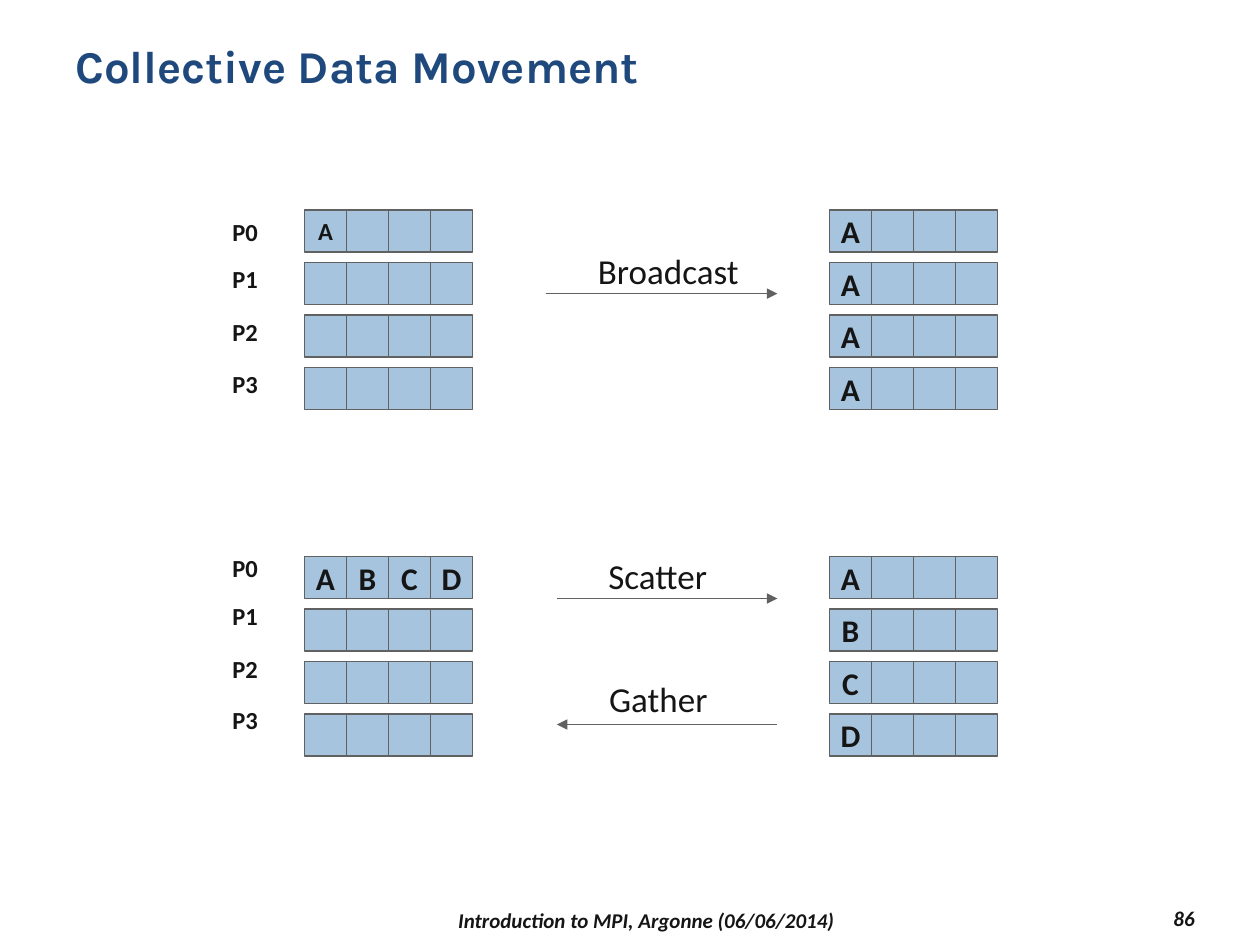
"""Build a slide on broadcast, scatter and gather among four processes."""
from dataclasses import dataclass
from typing import Any

from pptx import Presentation
from pptx import util as u
from pptx.dml.color import RGBColor
from pptx.enum import shapes, text
from pptx.oxml.ns import qn

NAVY = RGBColor(0x1F, 0x49, 0x7D)
INK = RGBColor(0x15, 0x15, 0x15)
GRAY = RGBColor(0x61, 0x61, 0x61)
BLUE = RGBColor(0xA6, 0xC4, 0xDE)

SIDE = 1 / 3
STEP = 5 / 12
LEFT, RIGHT = 29 / 12, 79 / 12
TOP, LOW = 5 / 3, 53 / 12
DROPS = (0, 0.38, 0.8, 1.21)


def write(frame, words, size=14, font="Calibri", color=INK, bold=False, slant=False,
          align=text.PP_ALIGN.CENTER, anchor=text.MSO_ANCHOR.TOP, wrap=False, space=1.0):
    frame.word_wrap = wrap
    frame.vertical_anchor = anchor
    par = frame.paragraphs[0]
    par.alignment = align
    par.line_spacing = space
    run = par.add_run()
    run.text = words
    run.font.size = u.Pt(size)
    run.font.name = font
    run.font.color.rgb = color
    run.font.bold = bold
    run.font.italic = slant


@dataclass
class Board:
    slide: Any
    fill: RGBColor = BLUE
    edge: RGBColor = GRAY
    width: float = 1

    def label(self, words, left, top, wide, high, **form):
        box = self.slide.shapes.add_textbox(*map(u.Inches, (left, top, wide, high)))
        write(box.text_frame, words, **form)

    def cell(self, left, top, words="", size=18):
        box = self.slide.shapes.add_shape(
            shapes.MSO_SHAPE.RECTANGLE, *map(u.Inches, (left, top, SIDE, SIDE)))
        box.shadow.inherit = False
        box.fill.solid()
        box.fill.fore_color.rgb = self.fill
        box.line.color.rgb = self.edge
        box.line.width = u.Pt(self.width)
        if words:
            write(box.text_frame, words, size=size, bold=True,
                  anchor=text.MSO_ANCHOR.MIDDLE)

    def grid(self, left, top, rows, size=18):
        for row, words in enumerate(rows):
            for col, word in enumerate(words.ljust(4)):
                self.cell(left + col * SIDE, top + row * STEP, word.strip(), size)

    def ranks(self, top):
        for rank, drop in enumerate(DROPS):
            self.label(f"P{rank}", 1.74, top + drop, 0.41, 0.34, bold=True)

    def arrow(self, start, end, high, tip="tailEnd"):
        line = self.slide.shapes.add_connector(
            shapes.MSO_CONNECTOR.STRAIGHT, *map(u.Inches, (start, high, end, high)))
        line.line.color.rgb = self.edge
        line.line.width = u.Pt(self.width)
        props = line._element.spPr
        mark = props.find(qn("a:ln")).makeelement(qn(f"a:{tip}"), {"type": "triangle"})
        props.find(qn("a:ln")).append(mark)
        props.append(props.makeelement(qn("a:effectLst"), {}))


def main():
    deck = Presentation()
    deck.slide_width, deck.slide_height = u.Inches(10), u.Inches(7.5)
    board = Board(deck.slides.add_slide(deck.slide_layouts[6]))

    board.label("Collective Data Movement", 0.5, 0.3, 9, 0.87, size=26, font="Karla",
                color=NAVY, bold=True, align=text.PP_ALIGN.LEFT, wrap=True, space=0.9)

    board.grid(LEFT, TOP, ("A", "", "", ""), size=14)
    board.grid(RIGHT, TOP, "AAAA")
    board.grid(LEFT, LOW, ("ABCD", "", "", ""))
    board.grid(RIGHT, LOW, "ABCD")
    board.ranks(1.67)
    board.ranks(4.34)

    board.arrow(4.33, 6.17, 2.33)
    board.arrow(4.42, 6.17, 4.75)
    board.arrow(4.42, 6.17, 5.75, tip="headEnd")
    board.label("Broadcast", 4.64, 1.93, 1.33, 0.44, size=20)
    board.label("Scatter", 4.72, 4.35, 1, 0.44, size=20)
    board.label("Gather", 4.73, 5.33, 0.99, 0.44, size=20)

    foot = dict(size=12, bold=True, slant=True, anchor=text.MSO_ANCHOR.MIDDLE, wrap=True)
    board.label("Introduction to MPI, Argonne (06/06/2014)", 2.17, 7.17, 5.92, 0.27, **foot)
    board.label("86", 8.5, 7.15, 1.08, 0.27, align=text.PP_ALIGN.RIGHT, **foot)
    deck.save("out.pptx")


if __name__ == "__main__":
    main()
